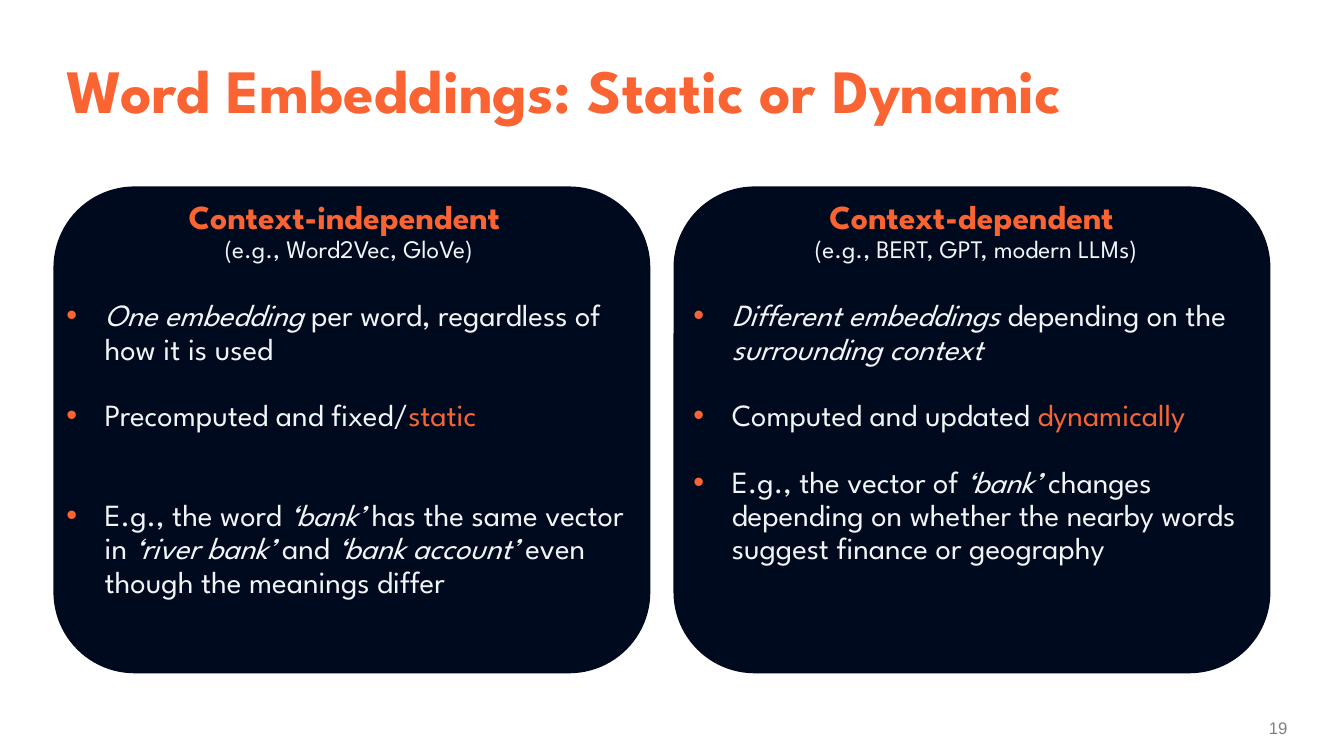
from lxml import etree
from pptx import Presentation
from pptx.dml.color import RGBColor
from pptx.enum.shapes import MSO_SHAPE
from pptx.enum.text import MSO_ANCHOR, PP_ALIGN
from pptx.oxml.ns import qn
from pptx.util import Inches, Pt

ROUNDED = MSO_SHAPE.ROUNDED_RECTANGLE
MIDDLE = MSO_ANCHOR.MIDDLE
CENTER, RIGHT = PP_ALIGN.CENTER, PP_ALIGN.RIGHT

COLORS = {"orange": "FA6432", "navy": "000A1E", "pale": "F2F5F8", "gray": "808080"}
HEADING_FONT = "League Spartan"

PANEL_LEFT, PANEL_TOP = 0.53, 1.85
PANEL_WIDTH, PANEL_HEIGHT = 5.92, 4.83
PANEL_PITCH = 6.15
BULLET_INDENT = 0.38
HEADING_GAP, BLANK_LINE = 26, 23.75

# Each bullet: space before in points, then (text, style) runs
PANELS = [
    {
        "text_left": 0.56,
        "heading": "Context-independent ",
        "examples": "(e.g., Word2Vec, GloVe)",
        "bullets": [
            (HEADING_GAP, [("One embedding ", "italic"),
                           ("per word, regardless of how it is used", "")]),
            (BLANK_LINE, [("Precomputed and fixed/", ""), ("static", "accent")]),
            (2 * BLANK_LINE, [("E.g., the word ", ""), ("‘bank’ ", "italic"),
                              ("has the same vector in ", ""),
                              ("‘river bank’ ", "italic"), ("and ", ""),
                              ("‘bank account’ ", "italic"),
                              ("even though the meanings differ", "")]),
        ],
    },
    {
        "text_left": 6.78,
        "heading": "Context-dependent ",
        "examples": "(e.g., BERT, GPT, modern LLMs)",
        "bullets": [
            (HEADING_GAP, [("Different embeddings ", "italic"), ("depending on the ", ""),
                           ("surrounding context", "italic")]),
            (BLANK_LINE, [("Computed and updated ", ""), ("dynamically", "accent")]),
            (BLANK_LINE, [("E.g., the vector of ", ""), ("‘bank’ ", "italic"),
                          ("changes depending on whether the nearby words "
                           "suggest finance or geography", "")]),
        ],
    },
]


def add_text_frame(left, top, width, height):
    box = slide.shapes.add_textbox(Inches(left), Inches(top), Inches(width), Inches(height))
    box.text_frame.word_wrap = True
    return box.text_frame


def style_paragraph(paragraph, size, color, font=HEADING_FONT, bold=False, spacing=0.9):
    paragraph.line_spacing = spacing
    paragraph.font.name = font
    paragraph.font.size = Pt(size)
    paragraph.font.bold = bold
    paragraph.font.color.rgb = RGBColor.from_string(COLORS[color])


prs = Presentation()
prs.slide_width, prs.slide_height = Inches(13.33), Inches(7.5)
slide = prs.slides.add_slide(prs.slide_layouts[6])

title_frame = add_text_frame(0.56, 0.33, 12.2, 1.22)
title_frame.vertical_anchor = MIDDLE
title = title_frame.paragraphs[0]
title.text = "Word Embeddings: Static or Dynamic"
style_paragraph(title, 44, "orange", bold=True, spacing=0.85)

for column, content in enumerate(PANELS):
    panel = slide.shapes.add_shape(
        ROUNDED, Inches(PANEL_LEFT + column * PANEL_PITCH), Inches(PANEL_TOP),
        Inches(PANEL_WIDTH), Inches(PANEL_HEIGHT))
    panel.shadow.inherit = False
    panel.fill.solid()
    panel.fill.fore_color.rgb = RGBColor.from_string(COLORS["navy"])
    panel.line.fill.background()

    frame = add_text_frame(content["text_left"], 1.94, 5.8, 5.16)
    heading = frame.paragraphs[0]
    heading.text = content["heading"]
    heading.alignment = CENTER
    style_paragraph(heading, 24, "orange", bold=True)
    examples = frame.add_paragraph()
    examples.text = content["examples"]
    examples.alignment = CENTER
    style_paragraph(examples, 18, "pale")

    for space_before, runs in content["bullets"]:
        bullet = frame.add_paragraph()
        bullet.space_before = Pt(space_before)
        bullet.line_spacing = 0.9
        properties = bullet._p.get_or_add_pPr()
        properties.set("marL", str(Inches(BULLET_INDENT)))
        properties.set("indent", str(-Inches(BULLET_INDENT)))
        bullet_color = etree.SubElement(properties, qn("a:buClr"))
        etree.SubElement(bullet_color, qn("a:srgbClr"), val=COLORS["orange"])
        etree.SubElement(properties, qn("a:buFont"), typeface="Arial")
        etree.SubElement(properties, qn("a:buChar"), char="•")
        style_paragraph(bullet, 22, "pale")
        for text, style in runs:
            run = bullet.add_run()
            run.text = text
            if style == "italic":
                run.font.italic = True
            elif style == "accent":
                run.font.color.rgb = RGBColor.from_string(COLORS["orange"])

number_frame = add_text_frame(12.1, 7.07, 0.67, 0.3)
number_frame.vertical_anchor = MIDDLE
number_frame.margin_right = 0
page_number = number_frame.paragraphs[0]
page_number.text = "19"
page_number.alignment = RIGHT
style_paragraph(page_number, 12, "gray", font="Arial", spacing=1.0)

prs.save("out.pptx")
